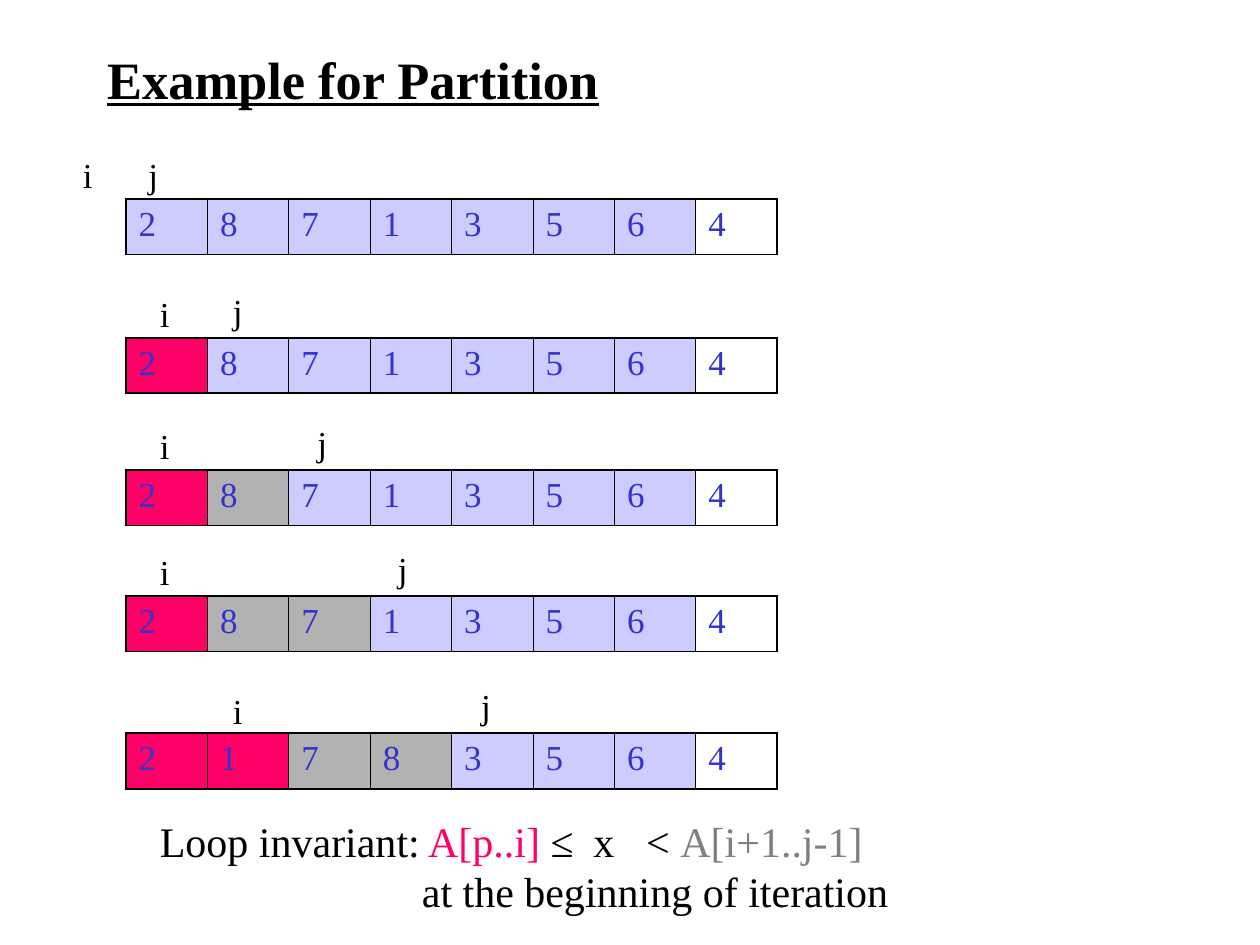
from dataclasses import dataclass

from lxml import etree
from pptx import Presentation
from pptx.dml.color import RGBColor
from pptx.enum.text import MSO_ANCHOR, MSO_AUTO_SIZE, PP_ALIGN
from pptx.oxml.ns import qn
from pptx.util import Inches, Pt

LEFT = PP_ALIGN.LEFT
MIDDLE = MSO_ANCHOR.MIDDLE
FIXED = MSO_AUTO_SIZE.NONE
GROW = MSO_AUTO_SIZE.SHAPE_TO_FIT_TEXT
FONT = "Times New Roman"
BLACK = "000000"
BLUE = "3333CC"
SMALLER = "FF0066"
LARGER = "B2B2B2"
UNSEEN = "CCCCFF"
FILLS = {"s": SMALLER, "l": LARGER, "u": UNSEEN}
CELL_WIDTH = 5.17 / 8
ROW_HEIGHT = 0.44


@dataclass
class Marker:
    name: str
    left: float
    top: float


@dataclass
class Step:
    top: float
    values: str
    regions: str
    markers: tuple[Marker, Marker]


STEPS = [
    Step(1.58, "28713564", "uuuuuuup", (Marker("i", 0.56, 1.17), Marker("j", 1.08, 1.17))),
    Step(2.68, "28713564", "suuuuuup", (Marker("i", 1.17, 2.27), Marker("j", 1.75, 2.25))),
    Step(3.73, "28713564", "sluuuuup", (Marker("i", 1.17, 3.32), Marker("j", 2.42, 3.3))),
    Step(4.73, "28713564", "slluuuup", (Marker("i", 1.17, 4.32), Marker("j", 3.06, 4.3))),
    Step(5.82, "21783564", "sslluuup", (Marker("i", 1.75, 5.42), Marker("j", 3.72, 5.38))),
]


def rgb(color: str) -> RGBColor:
    return RGBColor.from_string(color)


def style(span, size: float, color: str) -> None:
    span.font.name = FONT
    span.font.size = Pt(size)
    span.font.color.rgb = rgb(color)


def add_box(page, left: float, top: float, width: float, height: float, wrap: bool):
    box = page.shapes.add_textbox(Inches(left), Inches(top), Inches(width), Inches(height))
    frame = box.text_frame
    frame.word_wrap = wrap
    frame.auto_size = GROW
    return frame


def add_title(page) -> None:
    title = page.shapes.title
    title.left, title.top = Inches(0.75), Inches(0.33)
    title.width, title.height = Inches(6.75), Inches(0.58)
    frame = title.text_frame
    frame.text = "Example for Partition"
    frame.vertical_anchor = MIDDLE
    frame.auto_size = FIXED
    para = frame.paragraphs[0]
    para.alignment = LEFT
    span = para.runs[0]
    style(span, 30, BLACK)
    span.font.bold = True
    span.font.underline = True


def add_marker(page, marker: Marker) -> None:
    frame = add_box(page, marker.left, marker.top, 0.28, 0.44, True)
    frame.text = marker.name
    style(frame.paragraphs[0].runs[0], 20, BLACK)


def set_borders(cell, widths: dict[str, float]) -> None:
    properties = cell._tc.get_or_add_tcPr()
    for position, (side, width) in enumerate(widths.items()):
        line = etree.Element(qn(f"a:ln{side}"), w=str(Pt(width)))
        fill = etree.SubElement(line, qn("a:solidFill"))
        etree.SubElement(fill, qn("a:srgbClr"), val=BLACK)
        properties.insert(position, line)


def add_array(page, step: Step) -> None:
    count = len(step.values)
    table = page.shapes.add_table(
        1, count, Inches(1), Inches(step.top), Inches(CELL_WIDTH * count), Inches(ROW_HEIGHT)
    ).table
    table.first_row = False
    table.horz_banding = False
    for index, (value, region) in enumerate(zip(step.values, step.regions)):
        cell = table.cell(0, index)
        cell.text = value
        style(cell.text_frame.paragraphs[0].runs[0], 20, BLUE)
        if region in FILLS:
            cell.fill.solid()
            cell.fill.fore_color.rgb = rgb(FILLS[region])
        else:
            cell.fill.background()
        left = 1.08 if index == 0 else 0.45
        right = 1.08 if index == count - 1 else 0.45
        set_borders(cell, {"L": left, "R": right, "T": 1.08, "B": 1.08})


def add_invariant(page) -> None:
    frame = add_box(page, 1.17, 6.42, 5.98, 0.9, False)
    formula = frame.paragraphs[0]
    properties = formula._p.get_or_add_pPr()
    tabs = etree.SubElement(properties, qn("a:tabLst"))
    for stop in (3.44, 3.86):
        etree.SubElement(tabs, qn("a:tab"), pos=str(Inches(stop)), algn="l")
    parts = [
        ("Loop invariant:", BLACK),
        (" A[p..i] ", SMALLER),
        ("≤\tx\t< ", BLACK),
        ("A[i+1..j-1]", "808080"),
    ]
    for text, color in parts:
        span = formula.add_run()
        span.text = text
        style(span, 24, color)
    ending = frame.add_paragraph()
    ending.text = "at the beginning of iteration"
    ending._p.get_or_add_pPr().set("marL", str(Inches(2.08)))
    style(ending.runs[0], 24, BLACK)


def main() -> None:
    deck = Presentation()
    deck.slide_width, deck.slide_height = Inches(10), Inches(7.5)
    page = deck.slides.add_slide(deck.slide_layouts[5])
    add_title(page)
    for step in STEPS:
        add_array(page, step)
        for marker in step.markers:
            add_marker(page, marker)
    add_invariant(page)
    deck.save("out.pptx")


if __name__ == "__main__":
    main()
